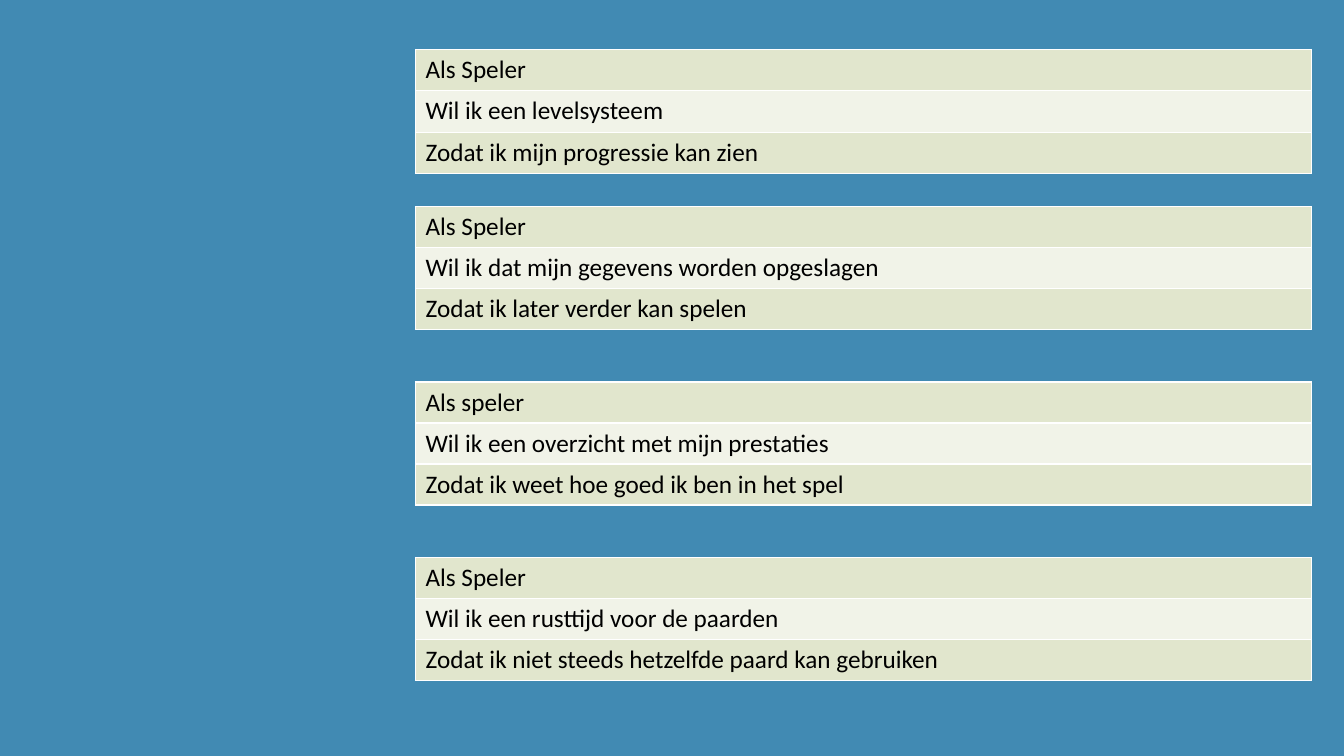
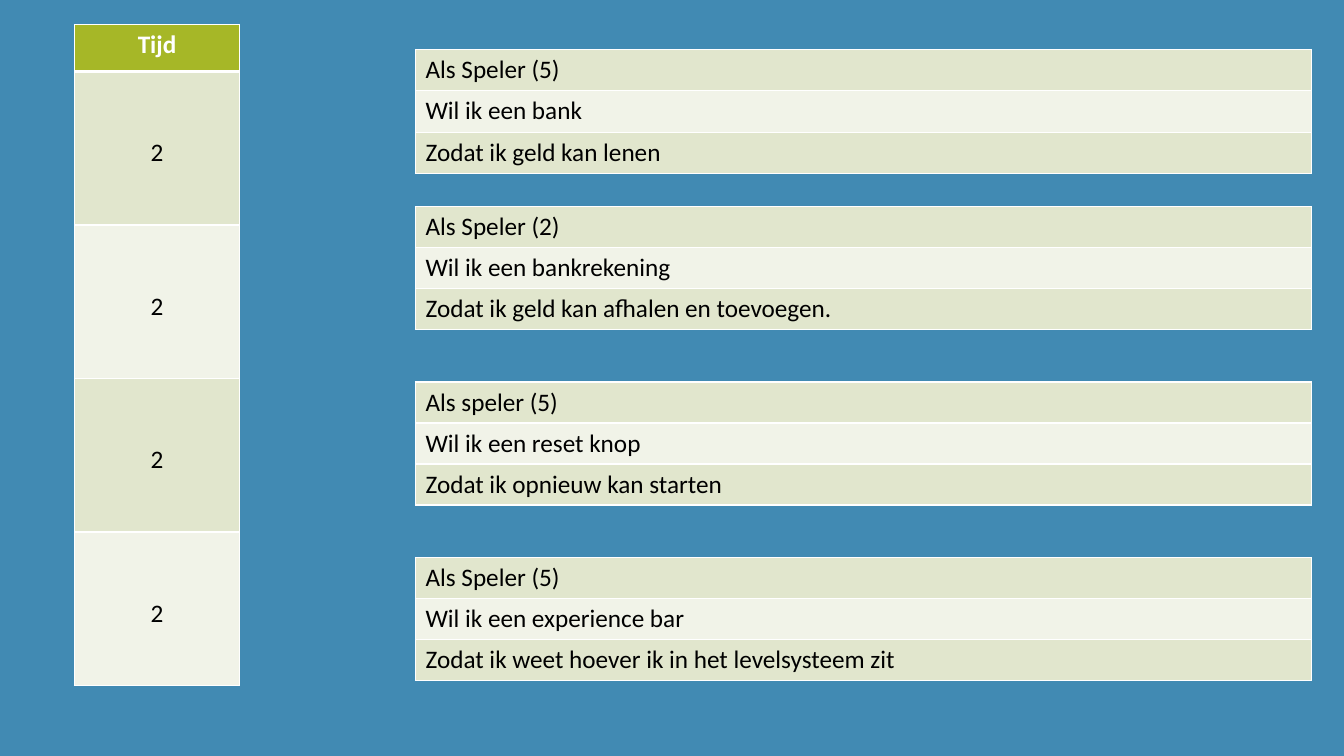
from lxml import etree
from pptx import Presentation
from pptx.dml.color import RGBColor
from pptx.enum.text import MSO_ANCHOR, PP_ALIGN
from pptx.oxml.ns import qn
from pptx.util import Pt

LEFT, CENTER = PP_ALIGN.LEFT, PP_ALIGN.CENTER
TOP, MIDDLE = MSO_ANCHOR.TOP, MSO_ANCHOR.MIDDLE

# Content: one list of user stories per slide, and the time column
SLIDES = [
    {
        "stories": [
            ("Als Speler", "Wil ik een levelsysteem",
             "Zodat ik mijn progressie kan zien"),
            ("Als Speler", "Wil ik dat mijn gegevens worden opgeslagen",
             "Zodat ik later verder kan spelen"),
            ("Als speler", "Wil ik een overzicht met mijn prestaties",
             "Zodat ik weet hoe goed ik ben in het spel"),
            ("Als Speler", "Wil ik een rusttijd voor de paarden",
             "Zodat ik niet steeds hetzelfde paard kan gebruiken"),
        ],
    },
    {
        "stories": [
            ("Als Speler (5)", "Wil ik een bank", "Zodat ik geld kan lenen"),
            ("Als Speler (2)", "Wil ik een bankrekening",
             "Zodat ik geld kan afhalen en toevoegen."),
            ("Als speler (5)", "Wil ik een reset knop",
             "Zodat ik opnieuw kan starten"),
            ("Als Speler (5)", "Wil ik een experience bar",
             "Zodat ik weet hoever ik in het levelsysteem zit"),
        ],
        "time": ("Tijd", ["2", "2", "2", "2"]),
    },
]

# Shared look
FONT, TEXT_SIZE = "Calibri", 18
BACKGROUND, HEADER, WHITE, BLACK = "418AB3", "A6B727", "FFFFFF", "000000"
BANDS = ("E1E6CD", "F1F3E8")
THIN, THICK = 1, 3

# Layout in points
SLIDE_WIDTH, SLIDE_HEIGHT = 960, 540
STORY_LEFT, STORY_WIDTH = 296.8, 640
STORY_TOPS = (35.3, 147.6, 272.9, 398.2)
STORY_ROWS = ((29.2, 29.9, 29.5),) + ((29.3,) * 3,) * 3
TIME_LEFT, TIME_TOP, TIME_WIDTH = 53.2, 17.4, 118
HEADER_HEIGHT, TIME_HEIGHT = 33.6, 109.7
NUMBER_MARGIN_TOP = 10.8


def color(value):
    return RGBColor.from_string(value)


def set_borders(cell, top, bottom):
    properties = cell._tc.get_or_add_tcPr()
    for side, width in (("L", THIN), ("R", THIN), ("T", top), ("B", bottom)):
        line = etree.SubElement(properties, qn(f"a:ln{side}"), w=str(Pt(width)))
        fill = etree.SubElement(line, qn("a:solidFill"))
        etree.SubElement(fill, qn("a:srgbClr"), val=WHITE)


def fill_cell(cell, text, fill, text_color=BLACK, bold=False,
              alignment=LEFT, anchor=TOP, top=THIN, bottom=THIN):
    set_borders(cell, top, bottom)
    cell.fill.solid()
    cell.fill.fore_color.rgb = color(fill)
    cell.vertical_anchor = anchor
    paragraph = cell.text_frame.paragraphs[0]
    paragraph.alignment = alignment
    run = paragraph.add_run()
    run.text = text
    run.font.name, run.font.size = FONT, Pt(TEXT_SIZE)
    run.font.bold = bold
    run.font.color.rgb = color(text_color)


def add_column(slide, left, top, width, heights):
    """Add a one-column table and return its cells from top to bottom."""
    table = slide.shapes.add_table(len(heights), 1, Pt(left), Pt(top),
                                   Pt(width), Pt(sum(heights))).table
    table.first_row = table.horz_banding = False
    for row, height in zip(table.rows, heights):
        row.height = Pt(height)
    return [row.cells[0] for row in table.rows]


def add_story(slide, top, heights, lines):
    cells = add_column(slide, STORY_LEFT, top, STORY_WIDTH, heights)
    for index, (cell, line) in enumerate(zip(cells, lines)):
        fill_cell(cell, line, BANDS[index % 2])


def add_time(slide, title, numbers):
    heights = [HEADER_HEIGHT] + [TIME_HEIGHT] * len(numbers)
    header, *cells = add_column(slide, TIME_LEFT, TIME_TOP, TIME_WIDTH, heights)
    fill_cell(header, title, HEADER, WHITE, bold=True,
              alignment=CENTER, bottom=THICK)
    for index, (cell, number) in enumerate(zip(cells, numbers)):
        fill_cell(cell, number, BANDS[index % 2], alignment=CENTER,
                  anchor=MIDDLE, top=THIN if index else THICK)
        cell.margin_top = Pt(NUMBER_MARGIN_TOP)


def main():
    presentation = Presentation()
    presentation.slide_width = Pt(SLIDE_WIDTH)
    presentation.slide_height = Pt(SLIDE_HEIGHT)
    blank = presentation.slide_layouts[6]
    # The background is shared through the master
    background = presentation.slide_master.background.fill
    background.solid()
    background.fore_color.rgb = color(BACKGROUND)
    for content in SLIDES:
        slide = presentation.slides.add_slide(blank)
        for top, heights, lines in zip(STORY_TOPS, STORY_ROWS, content["stories"]):
            add_story(slide, top, heights, lines)
        if "time" in content:
            add_time(slide, *content["time"])
    presentation.save("out.pptx")


if __name__ == "__main__":
    main()
